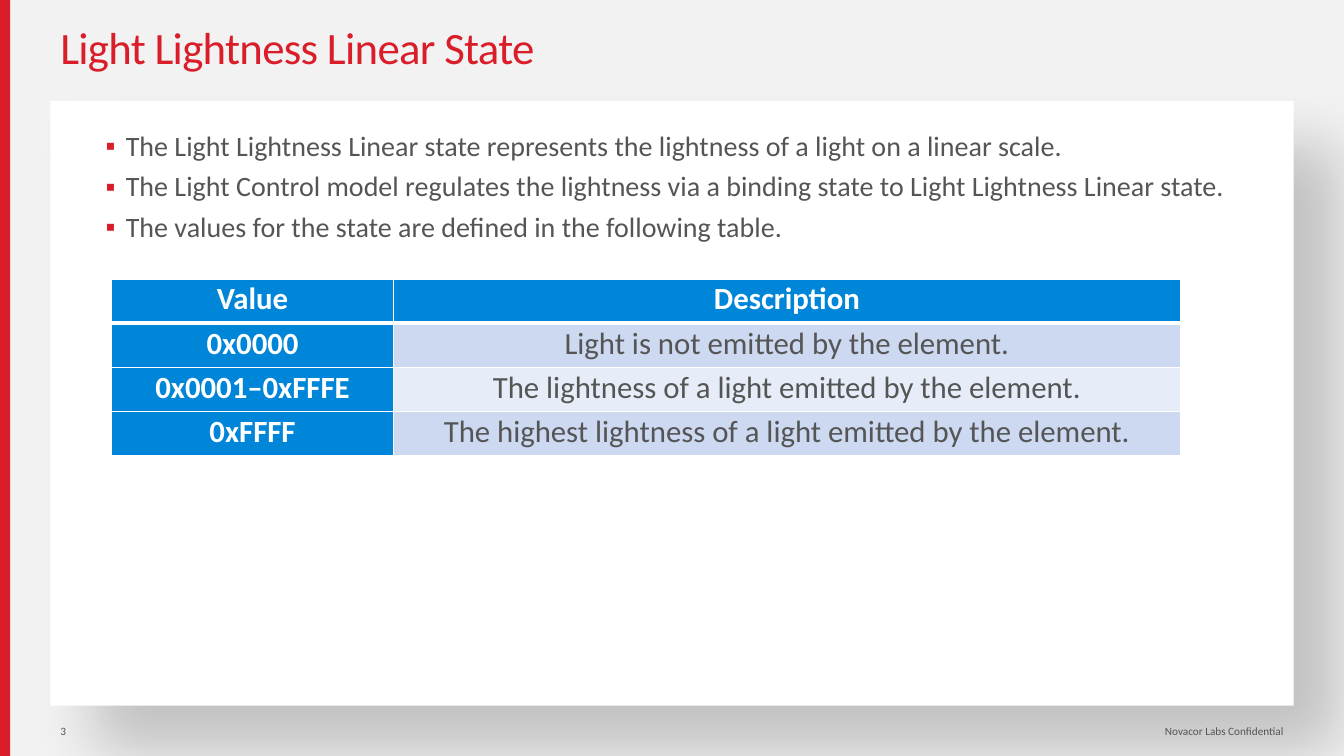
from lxml import etree
from pptx import Presentation
from pptx import util as u
from pptx.dml.color import RGBColor
from pptx.enum import shapes, text
from pptx.oxml.ns import qn

RED = RGBColor(0xD9, 0x1E, 0x2A)
GREY = RGBColor(0x55, 0x55, 0x55)
WHITE = RGBColor(0xFF, 0xFF, 0xFF)
BACKDROP = RGBColor(0xF2, 0xF2, 0xF2)
BLUE = RGBColor(0x00, 0x86, 0xD9)
BANDS = RGBColor(0xCC, 0xD9, 0xF1), RGBColor(0xE7, 0xED, 0xF8)

FONT = "Calibri"
COLS, ROWS = 26.66, 15  # grid of half-inch cells
PANEL_COLS = COLS - 2
LEFT, MIDDLE = text.PP_ALIGN.LEFT, text.MSO_ANCHOR.MIDDLE

BULLETS = [
    "The Light Lightness Linear state represents the lightness of a light on a linear scale.",
    "The Light Control model regulates the lightness via a binding state to Light Lightness Linear state.",
    "The values for the state are defined in the following table.",
]
STATES = [
    ("Value", "Description"),
    ("0x0000", "Light is not emitted by the element."),
    ("0x0001–0xFFFE", "The lightness of a light emitted by the element."),
    ("0xFFFF", "The highest lightness of a light emitted by the element."),
]


def grid(*cells):
    return [u.Inches(n / 2) for n in cells]


def add_xml(parent, tag, **attrs):
    return etree.SubElement(parent, qn(tag), {k: str(v) for k, v in attrs.items()})


def add_colour(parent, colour):
    return add_xml(add_xml(parent, "a:solidFill"), "a:srgbClr", val=colour)


def write(p, words, size, colour=GREY, bold=False, align=LEFT, line=1.0, before=0, after=0, tracking=0):
    p.alignment, p.line_spacing = align, line
    p.space_before, p.space_after = u.Pt(before), u.Pt(after)
    r = p.add_run()
    r.text = words
    r.font.name, r.font.size, r.font.bold = FONT, u.Pt(size), bold
    r.font.color.rgb = colour
    if tracking:
        r.font._element.set("spc", str(int(tracking * 100)))


def add_text(s, box, lines, anchor=text.MSO_ANCHOR.TOP, right_inset=0.1, bullet=None, **style):
    tf = s.shapes.add_textbox(*grid(*box)).text_frame
    tf.word_wrap, tf.vertical_anchor = True, anchor
    tf.margin_right = u.Inches(right_inset)
    for i, words in enumerate(lines):
        p = tf.add_paragraph() if i else tf.paragraphs[0]
        write(p, words, **style)
        if bullet:
            add_bullet(p, bullet)


def add_bullet(p, char):
    p.level = 1
    pr = p._p.get_or_add_pPr()
    pr.set("marL", str(u.Inches(0.4)))
    pr.set("indent", str(u.Inches(-0.2)))
    add_xml(add_xml(pr, "a:buClr"), "a:srgbClr", val=RED)
    add_xml(pr, "a:buFont", typeface="Arial")
    add_xml(pr, "a:buChar", char=char)


def add_block(s, box, colour):
    sp = s.shapes.add_shape(shapes.MSO_SHAPE.RECTANGLE, *grid(*box))
    sp.shadow.inherit = False
    sp.fill.solid()
    sp.fill.fore_color.rgb = colour
    sp.line.fill.background()
    return sp


def drop_shadow(sp):
    effects = sp._element.spPr.find(qn("a:effectLst"))
    shadow = add_xml(effects, "a:outerShdw", blurRad=u.Pt(45), dist=u.Pt(45),
                     dir=45 * 60000, algn="tl", rotWithShape=0)
    clr = add_xml(shadow, "a:srgbClr", val="000000")
    add_xml(clr, "a:alpha", val=20000)


def set_borders(cell, bottom):
    """Must run before the cell's fill, which follows the borders."""
    pr = cell._tc.get_or_add_tcPr()
    for side, width in (("L", 1), ("R", 1), ("T", 1), ("B", bottom)):
        add_colour(add_xml(pr, f"a:ln{side}", w=u.Pt(width)), WHITE)


def add_states_table(s, left, top, widths, row_height):
    box = grid(left, top, sum(widths), row_height * len(STATES))
    table = s.shapes.add_table(len(STATES), len(widths), *box).table
    for col, width in zip(table.columns, grid(*widths)):
        col.width = width
    for r, state in enumerate(STATES):
        table.rows[r].height = grid(row_height)[0]
        for c, words in enumerate(state):
            cell = table.cell(r, c)
            heading = r == 0 or c == 0
            cell.margin_left = cell.margin_right = u.Inches(0.16)
            cell.margin_top = cell.margin_bottom = 0
            set_borders(cell, bottom=1 if r else 3)
            cell.fill.solid()
            cell.fill.fore_color.rgb = BLUE if heading else BANDS[(r - 1) % 2]
            write(cell.text_frame.paragraphs[0], words, 22, WHITE if heading else GREY, heading,
                  text.PP_ALIGN.CENTER, line=1.04, before=8)


def main():
    prs = Presentation()
    prs.slide_width, prs.slide_height = grid(COLS, ROWS)
    s = prs.slides.add_slide(prs.slide_layouts[6])
    s.background.fill.solid()
    s.background.fill.fore_color.rgb = BACKDROP

    add_block(s, (0, 0, 0.2, ROWS), RED)
    drop_shadow(add_block(s, (1, 2, PANEL_COLS, ROWS - 3), WHITE))
    add_text(s, (1, 0, PANEL_COLS, 2), ["Light Lightness Linear State"], MIDDLE,
             size=32, colour=RED, line=0.9, tracking=-0.5)
    add_text(s, (1.5, 2.5, PANEL_COLS - 1, 7), BULLETS, bullet="▪", size=20, line=0.95, before=6)
    add_text(s, (1.7, ROWS - 1, PANEL_COLS - 0.7, 1), ["Novacor Labs Confidential"], MIDDLE,
             size=8, align=text.PP_ALIGN.RIGHT, after=6)
    add_text(s, (1, ROWS - 1, 0.7, 1), ["3"], MIDDLE, right_inset=0, size=8, after=6)
    add_states_table(s, 2.22, 5.54, (5.58, 15.62), 0.875)
    prs.save("out.pptx")


if __name__ == "__main__":
    main()
